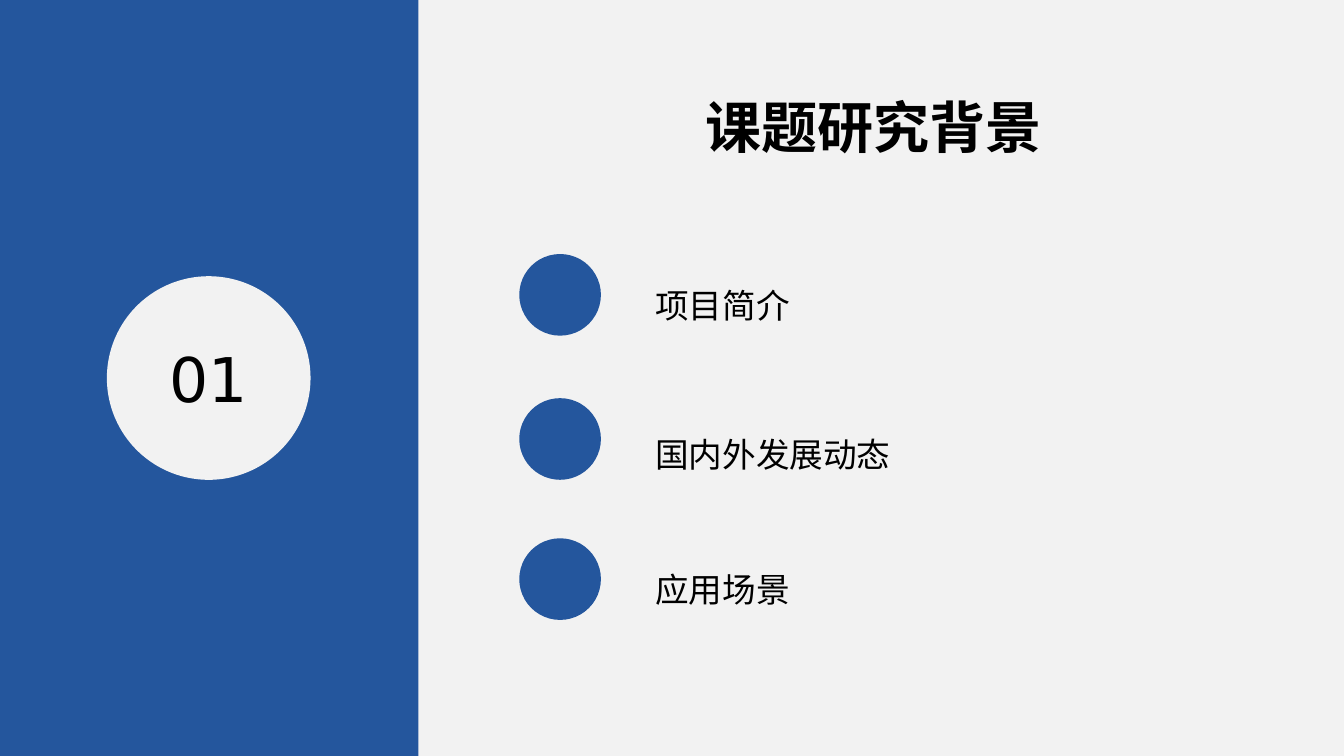
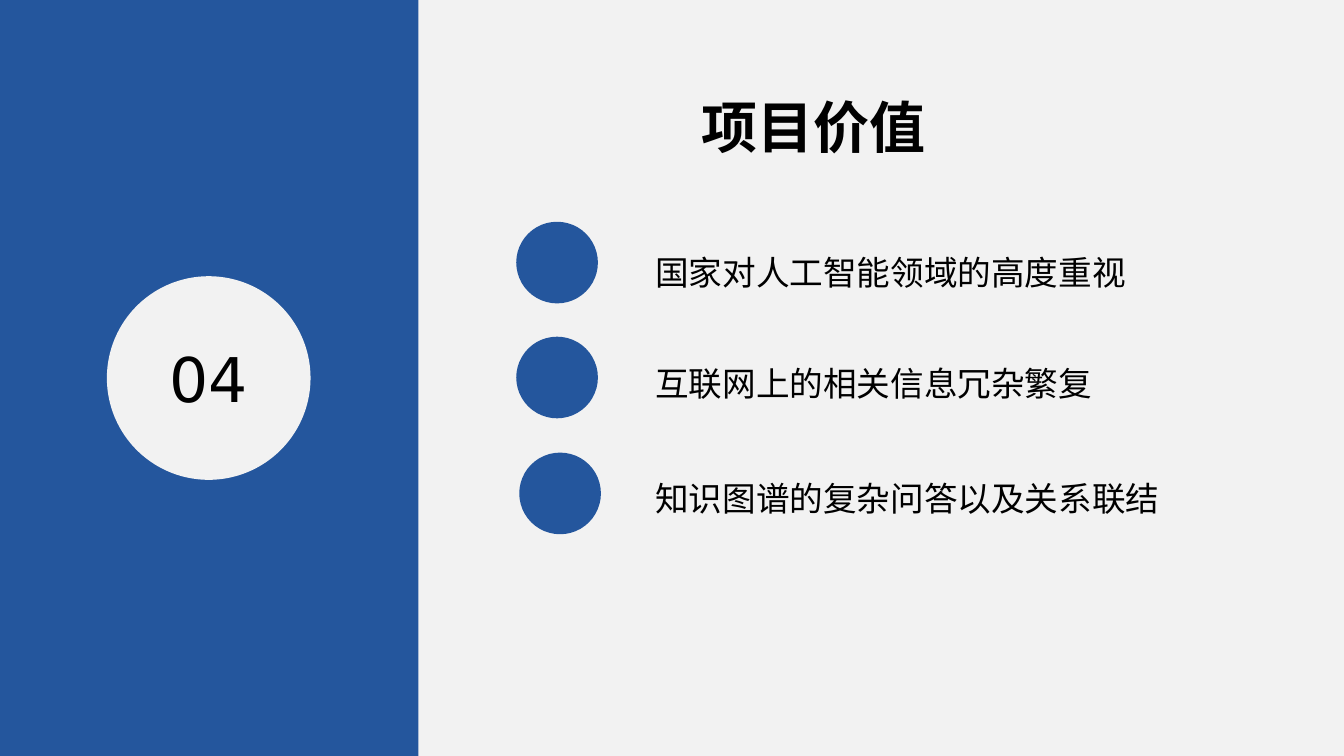
from dataclasses import dataclass

from pptx import Presentation
from pptx.dml.color import RGBColor
from pptx.enum import shapes, text
from pptx.util import Emu, Pt

# (wording, dot left, dot top, wording top), lengths in px
SECTIONS = [
    {"number": "01", "title": "课题研究背景", "title_left": 690, "topics": [
        ("项目简介", 515, 252, 268),
        ("国内外发展动态", 515, 395, 416),
        ("应用场景", 515, 534, 549),
    ]},
    {"number": "04", "title": "项目价值", "title_left": 686, "topics": [
        ("国家对人工智能领域的高度重视", 512, 220, 235),
        ("互联网上的相关信息冗杂繁复", 512, 334, 345),
        ("知识图谱的复杂问答以及关系联结", 515, 449, 459),
    ]},
]


@dataclass(frozen=True)
class Theme:
    blue: RGBColor = RGBColor(0x24, 0x56, 0x9D)
    paper: RGBColor = RGBColor(0xF2, 0xF2, 0xF2)
    ink: RGBColor = RGBColor(0, 0, 0)
    heading_font: str = "DejaVu Sans"
    topic_font: str = "Noto Sans CJK SC"
    number_size: int = 44
    title_size: int = 40
    topic_size: int = 24


THEME = Theme()
PX = 9144  # EMU, 100 px to the inch
WIDTH, HEIGHT = 1333, 750
BAND_WIDTH = 415
BADGE, DOT = 202, 81
TITLE_TOP, TITLE_WIDTH, TITLE_HEIGHT = 87, 367, 76
TOPIC_LEFT, TOPIC_WIDTH, TOPIC_HEIGHT = 640, 649, 50


def px(*lengths):
    return [Emu(length * PX) for length in lengths]


def write(frame, wording, *, size, font, bold=False, spacing=None,
          align=text.PP_ALIGN.LEFT, anchor=text.MSO_ANCHOR.TOP):
    frame.word_wrap = True
    frame.vertical_anchor = anchor
    paragraph = frame.paragraphs[0]
    paragraph.alignment = align
    paragraph.line_spacing = spacing
    run = paragraph.add_run()
    run.text = wording
    run.font.name = font
    run.font.size = Pt(size)
    run.font.bold = bold
    run.font.color.rgb = THEME.ink


def add_solid(slide, kind, box, color):
    solid = slide.shapes.add_shape(kind, *px(*box))
    solid.shadow.inherit = False
    solid.fill.solid()
    solid.fill.fore_color.rgb = color
    solid.line.fill.background()
    return solid


def add_text(slide, wording, box, **style):
    write(slide.shapes.add_textbox(*px(*box)).text_frame, wording, **style)


def add_section(deck, section):
    slide = deck.slides.add_slide(deck.slide_layouts[6])
    slide.background.fill.solid()
    slide.background.fill.fore_color.rgb = THEME.paper

    oval = shapes.MSO_SHAPE.OVAL
    add_solid(slide, shapes.MSO_SHAPE.RECTANGLE, (0, 0, BAND_WIDTH, HEIGHT), THEME.blue)
    badge = add_solid(slide, oval, ((BAND_WIDTH - BADGE) // 2, (HEIGHT - BADGE) // 2,
                                    BADGE, BADGE), THEME.paper)
    write(badge.text_frame, section["number"], size=THEME.number_size,
          font=THEME.heading_font, align=text.PP_ALIGN.CENTER,
          anchor=text.MSO_ANCHOR.MIDDLE)

    add_text(slide, section["title"],
             (section["title_left"], TITLE_TOP, TITLE_WIDTH, TITLE_HEIGHT),
             size=THEME.title_size, font=THEME.heading_font, bold=True)
    for wording, dot_left, dot_top, wording_top in section["topics"]:
        add_solid(slide, oval, (dot_left, dot_top, DOT, DOT), THEME.blue)
        add_text(slide, wording, (TOPIC_LEFT, wording_top, TOPIC_WIDTH, TOPIC_HEIGHT),
                 size=THEME.topic_size, font=THEME.topic_font, spacing=1.25)


def main():
    deck = Presentation()
    deck.slide_width, deck.slide_height = px(WIDTH, HEIGHT)
    for section in SECTIONS:
        add_section(deck, section)
    deck.save("out.pptx")


if __name__ == "__main__":
    main()
